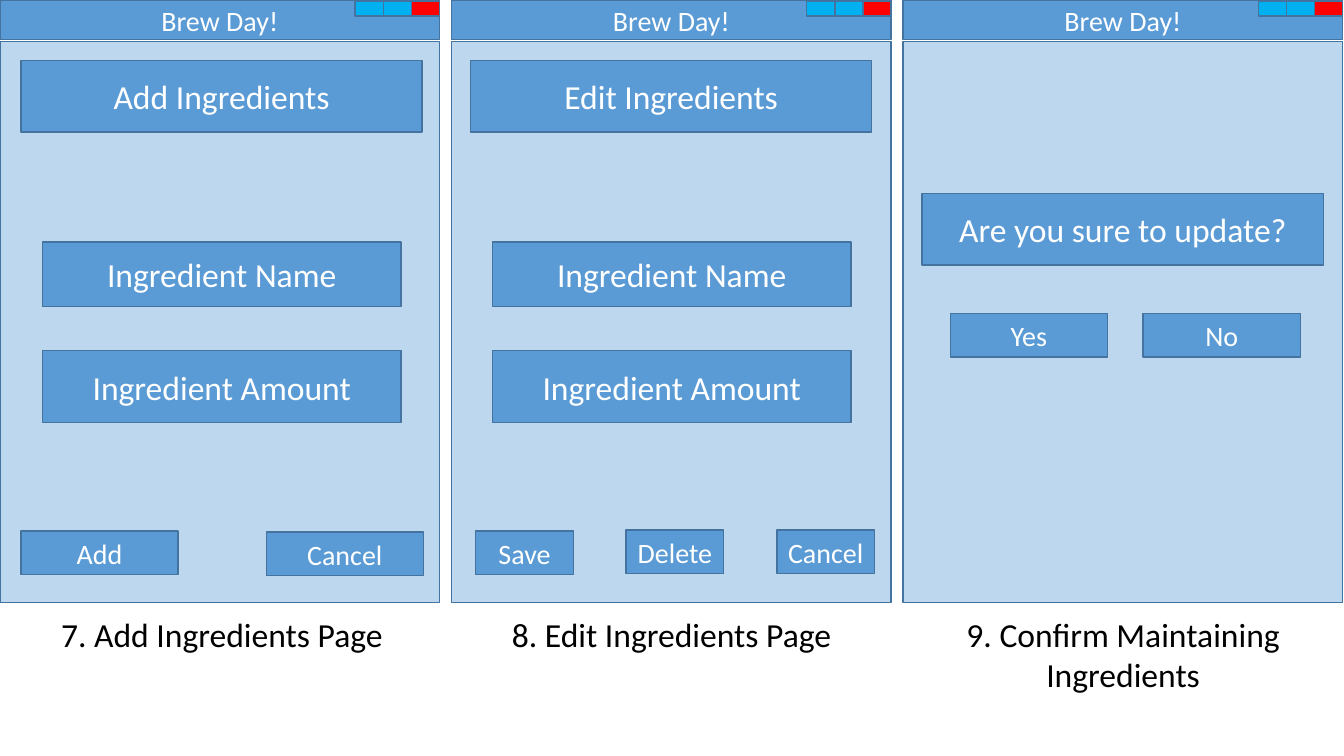
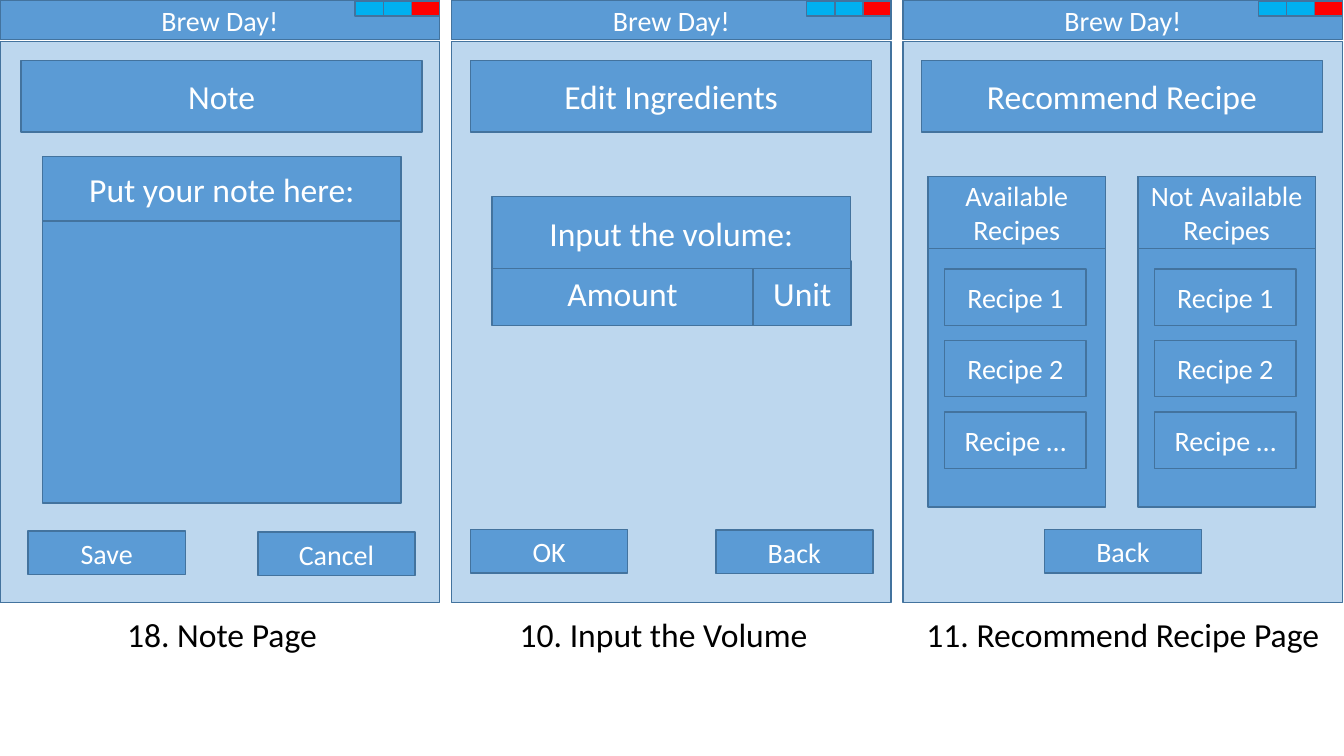
from dataclasses import dataclass
from pptx import Presentation
from pptx.dml.color import RGBColor
from pptx.enum import shapes, text
from pptx.util import Cm, Pt


@dataclass(frozen=True)
class Theme:
    font: str = "Calibri"
    large: int = 24
    small: int = 20
    line_width: float = 1
    blue: str = "5B9BD5"
    pale: str = "BDD7EE"
    outline: str = "43739E"
    control: str = "00B0F0"
    close: str = "FF0000"
    white: str = "FFFFFF"
    black: str = "000000"


THEME = Theme()

# Sizes of the parts: width, height (cm), type size
KINDS = {
    "heading": (10.11, 1.81, THEME.large),
    "field": (9.04, 1.63, THEME.large),
    "tall field": (9.04, 1.81, THEME.large),
    "amount": (6.58, 1.63, THEME.large),
    "unit": (2.46, 1.63, THEME.large),
    "note area": (9.04, 7.32, THEME.large),
    "button": (3.96, 1.1, THEME.small),
    "short button": (2.46, 1.1, THEME.small),
    "list": (4.47, 8.33, THEME.small),
    "list title": (4.47, 1.81, THEME.small),
    "recipe": (3.56, 1.42, THEME.small),
}
RECIPES = ["Recipe 1", "Recipe 2", "Recipe …"]


def recipe_list(title, left, top=4.45):
    """Parts of one titled column of recipes."""
    column = [("list", "", left, top), ("list title", title, left, top)]
    return column + [("recipe", name, left + 0.42, top + 2.33 + 1.8 * row)
                     for row, name in enumerate(RECIPES)]


# Content: per slide, three screens of (caption, caption left, caption width, parts);
# a part is (kind, text, left in screen, top), in cm
APP_TITLE = "Brew Day!"
SLIDES = [
    [
        ("7. Add Ingredients Page", 0.86, 9.47, [
            ("heading", "Add Ingredients", 0.53, 1.52),
            ("field", "Ingredient Name", 1.07, 6.1),
            ("tall field", "Ingredient Amount", 1.07, 8.84),
            ("button", "Add", 0.53, 13.38),
            ("button", "Cancel", 6.71, 13.41),
        ]),
        ("8. Edit Ingredients Page", 0.81, 9.47, [
            ("heading", "Edit Ingredients", 0.48, 1.52),
            ("field", "Ingredient Name", 1.03, 6.1),
            ("tall field", "Ingredient Amount", 1.03, 8.84),
            ("short button", "Save", 0.61, 13.38),
            ("short button", "Delete", 4.4, 13.36),
            ("short button", "Cancel", 8.2, 13.36),
        ]),
        ("9. Confirm Maintaining Ingredients", 0.81, 9.47, [
            ("heading", "Are you sure to update?", 0.48, 4.87),
            ("button", "Yes", 1.19, 7.9),
            ("button", "No", 6.05, 7.9),
        ]),
    ],
    [
        ("18. Note Page", 0.86, 9.47, [
            ("heading", "Note", 0.53, 1.52),
            ("note area", "", 1.07, 5.36),
            ("field", "Put your note here:", 1.07, 3.94),
            ("button", "Save", 0.71, 13.38),
            ("button", "Cancel", 6.5, 13.41),
        ]),
        ("10. Input the Volume", 0.61, 9.47, [
            ("heading", "Edit Ingredients", 0.48, 1.52),
            ("amount", "Amount", 1.02, 6.58),
            ("unit", "Unit", 7.61, 6.58),
            ("tall field", "Input the volume:", 1.02, 4.96),
            ("button", "OK", 0.48, 13.34),
            ("button", "Back", 6.66, 13.36),
        ]),
        ("11. Recommend Recipe Page", 0.25, 10.57, [
            ("heading", "Recommend Recipe", 0.46, 1.52),
            *recipe_list("Available\nRecipes", 0.63),
            *recipe_list("Not Available\nRecipes", 5.92),
            ("button", "Back", 3.56, 13.34),
        ]),
    ],
]

# Layout (cm)
SLIDE_WIDTH, SLIDE_HEIGHT = 33.87, 19.05
SCREEN_WIDTH, SCREEN_PITCH = 11.08, 11.38
BAR_HEIGHT, BODY_TOP, BODY_HEIGHT = 1.0, 1.04, 14.15
CONTROL_WIDTH, CONTROL_HEIGHT = 0.71, 0.38
CAPTION_TOP, CAPTION_HEIGHT = 15.34, 1.27


def write(shape, words, size, color, anchor):
    frame = shape.text_frame
    for name, value in {"word_wrap": True, "vertical_anchor": anchor, "text": words}.items():
        setattr(frame, name, value)
    for paragraph in frame.paragraphs:
        paragraph.alignment = text.PP_ALIGN.CENTER
        for name, value in {"name": THEME.font, "size": Pt(size)}.items():
            setattr(paragraph.font, name, value)
        paragraph.font.color.rgb = RGBColor.from_string(color)


def add_box(slide, left, top, width, height, fill, words="", size=THEME.small):
    shape = slide.shapes.add_shape(shapes.MSO_SHAPE.RECTANGLE,
                                   Cm(left), Cm(top), Cm(width), Cm(height))
    shape.shadow.inherit = False
    shape.fill.solid()
    shape.fill.fore_color.rgb = RGBColor.from_string(fill)
    shape.line.color.rgb = RGBColor.from_string(THEME.outline)
    shape.line.width = Pt(THEME.line_width)
    if words:
        write(shape, words, size, THEME.white, text.MSO_ANCHOR.MIDDLE)


def add_window(slide, left):
    """Title bar, body and window controls shared by every screen."""
    add_box(slide, left, 0, SCREEN_WIDTH, BAR_HEIGHT, THEME.blue, APP_TITLE)
    add_box(slide, left, BODY_TOP, SCREEN_WIDTH, BODY_HEIGHT, THEME.pale)
    colors = [THEME.control, THEME.control, THEME.close]
    first = left + SCREEN_WIDTH - CONTROL_WIDTH * len(colors)
    for index, color in enumerate(colors):
        add_box(slide, first + CONTROL_WIDTH * index, 0.03,
                CONTROL_WIDTH, CONTROL_HEIGHT, color)


def add_caption(slide, words, left, width):
    shape = slide.shapes.add_textbox(Cm(left), Cm(CAPTION_TOP), Cm(width), Cm(CAPTION_HEIGHT))
    write(shape, words, THEME.large, THEME.black, text.MSO_ANCHOR.TOP)
    shape.text_frame.auto_size = text.MSO_AUTO_SIZE.SHAPE_TO_FIT_TEXT


# Build the slides
presentation = Presentation()
presentation.slide_width, presentation.slide_height = Cm(SLIDE_WIDTH), Cm(SLIDE_HEIGHT)
for screens in SLIDES:
    slide = presentation.slides.add_slide(presentation.slide_layouts[6])
    for index, (caption, caption_left, caption_width, parts) in enumerate(screens):
        screen_left = SCREEN_PITCH * index
        add_window(slide, screen_left)
        for kind, words, left, top in parts:
            width, height, size = KINDS[kind]
            add_box(slide, screen_left + left, top, width, height, THEME.blue, words, size)
        add_caption(slide, caption, screen_left + caption_left, caption_width)
presentation.save("out.pptx")
